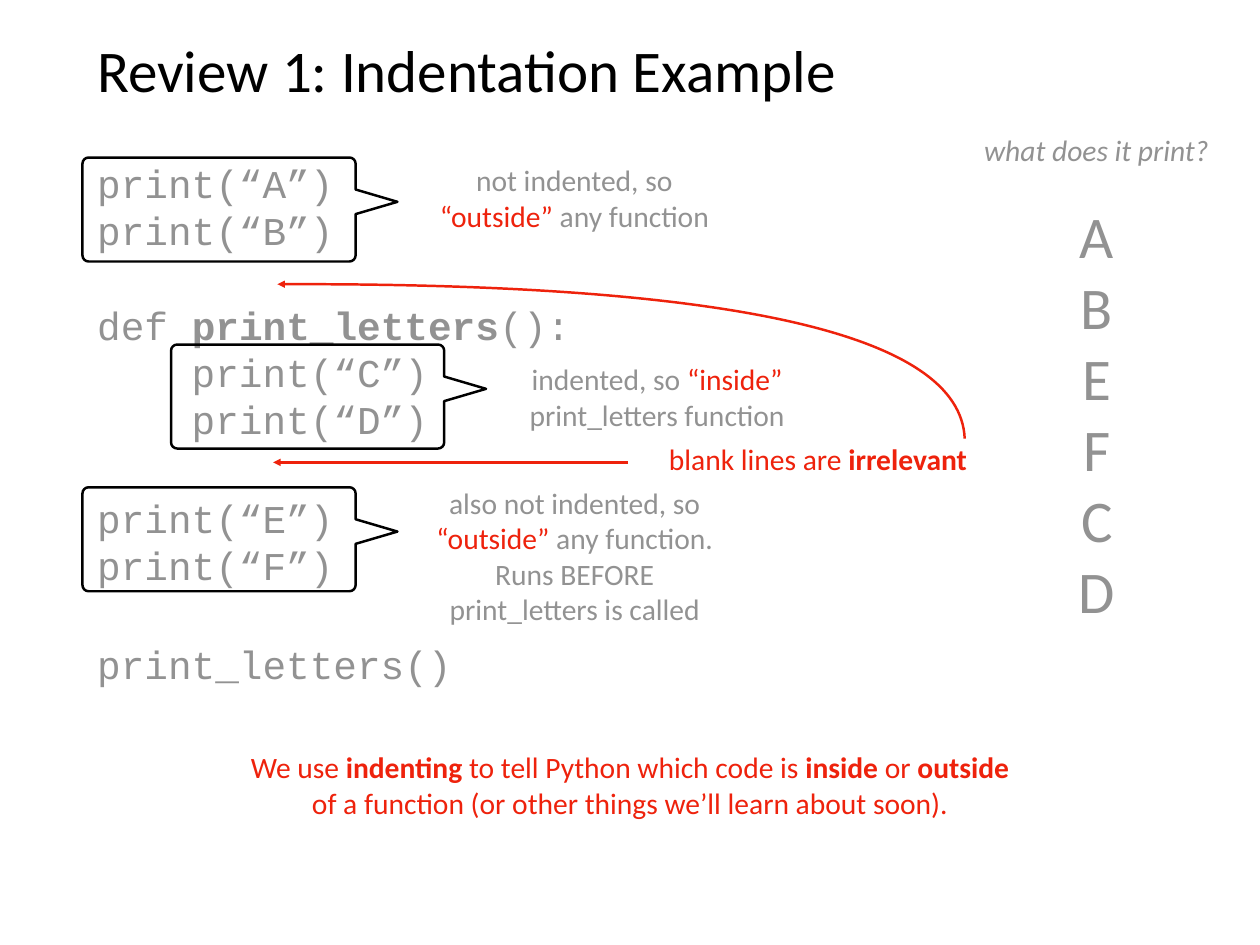
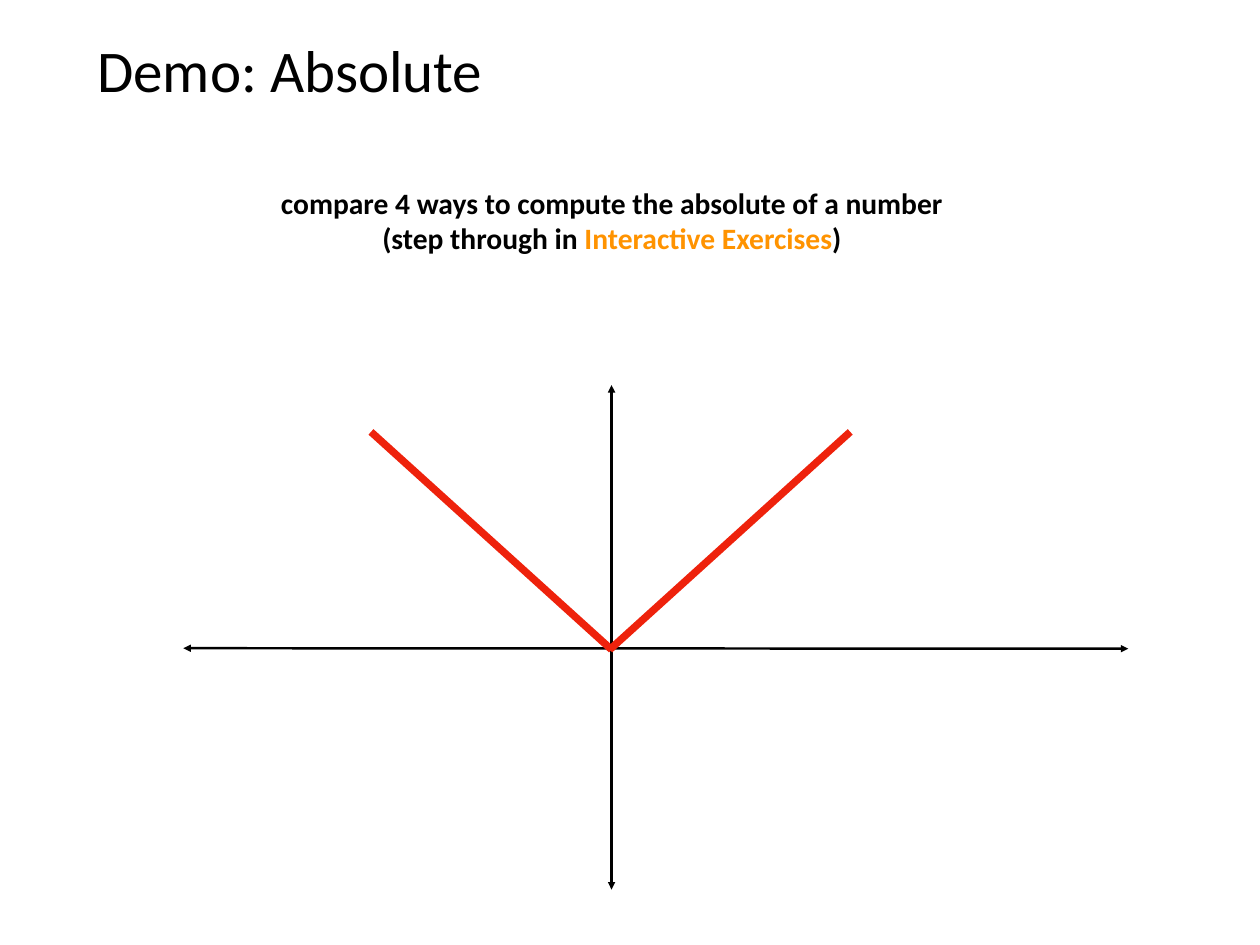
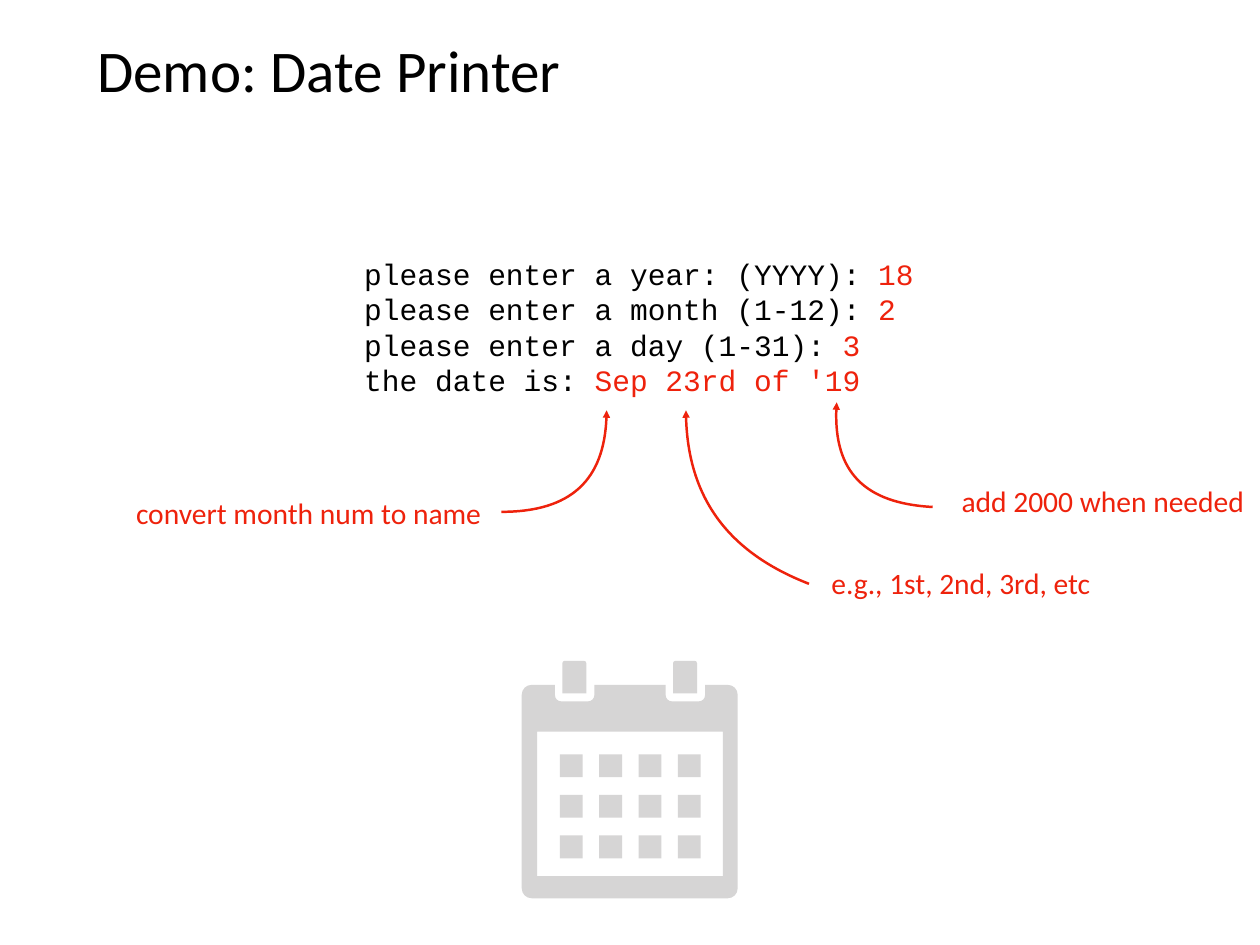
from dataclasses import dataclass, field
from itertools import product
from math import dist
from typing import NamedTuple

from lxml.etree import Element as Node, SubElement as Sub
from pptx import Presentation
from pptx.dml.color import RGBColor as Rgb
from pptx.enum.shapes import MSO_CONNECTOR as Link
from pptx.enum.text import MSO_ANCHOR as Anchor, PP_ALIGN as Align
from pptx.oxml.ns import qn
from pptx.slide import Slide
from pptx.util import Pt

BLACK = Rgb(0x00, 0x00, 0x00)
GRAY = Rgb(0x92, 0x92, 0x92)
PALE = Rgb(0xD6, 0xD5, 0xD5)
RED = Rgb(0xEE, 0x22, 0x0C)
GOLD = Rgb(0xFF, 0x93, 0x00)

SANS = "Calibri"
MONO = "Courier New"
INSET = 4
LEADING = 1.2
ROUND = 0.55

Point = tuple[float, float]
Step = list[Point]


class Run(NamedTuple):
    text: str
    color: Rgb | None = None
    bold: bool | None = None


class Line(NamedTuple):
    runs: list[Run]
    gap: float = 0
    indent: float = 0


class Box(NamedTuple):
    x: float
    y: float
    w: float
    h: float


class Corner(NamedTuple):
    x: float
    y: float
    r: float = 0


class Ring(NamedTuple):
    start: Point
    steps: list[Step]
    close: bool = True


@dataclass
class Note:
    box: Box
    lines: list[Line]
    color: Rgb = GRAY
    size: float = 24
    face: str = SANS
    bold: bool = False
    slant: bool = False
    align: Align = Align.CENTER
    anchor: Anchor = Anchor.MIDDLE
    wrap: bool = False


@dataclass
class Stroke:
    color: Rgb = RED
    width: float = 2
    ends: list[str] = field(default_factory=list)


def apply(target: object, values: dict) -> None:
    for name, value in values.items():
        setattr(target, name, value)


def plain(*texts: str) -> list[Line]:
    return [Line([Run(text)]) for text in texts]


def write(slide: Slide, note: Note) -> None:
    frame = slide.shapes.add_textbox(*map(Pt, note.box)).text_frame
    apply(frame, {
        "word_wrap": note.wrap,
        "vertical_anchor": note.anchor,
        "margin_left": Pt(INSET),
        "margin_right": Pt(INSET),
        "margin_top": Pt(INSET),
        "margin_bottom": Pt(INSET),
    })
    for index, line in enumerate(note.lines):
        para = frame.add_paragraph() if index else frame.paragraphs[0]
        apply(para, {
            "alignment": note.align,
            "line_spacing": Pt(LEADING * note.size),
            "space_before": Pt(line.gap),
        })
        if line.indent:
            para._p.get_or_add_pPr().set("marL", str(Pt(line.indent)))
        for part in line.runs:
            run = para.add_run()
            run.text = part.text
            apply(run.font, {
                "name": note.face,
                "size": Pt(note.size),
                "bold": note.bold if part.bold is None else part.bold,
                "italic": note.slant,
            })
            run.font.color.rgb = part.color or note.color


def ink(shape, stroke: Stroke) -> None:
    shape.line.color.rgb = stroke.color
    shape.line.width = Pt(stroke.width)
    outline = shape.element.spPr.find(qn("a:ln"))
    for end in stroke.ends:
        Sub(outline, qn(f"a:{end}"), type="triangle")


def link(slide: Slide, start: Point, end: Point, stroke: Stroke) -> None:
    line = slide.shapes.add_connector(
        Link.STRAIGHT, *map(Pt, start), *map(Pt, end))
    ink(line, stroke)
    Sub(line.element.spPr, qn("a:effectLst"))


def trace(slide: Slide, rings: list[Ring], stroke: Stroke | None = None,
          fill: Rgb | None = None) -> None:
    pen = slide.shapes.build_freeform(*map(Pt, rings[0].start))
    for index, ring in enumerate(rings):
        if index:
            pen.move_to(*map(Pt, ring.start))
        ends = [tuple(map(Pt, step[-1])) for step in ring.steps]
        pen.add_line_segments(ends, close=ring.close)
    shape = pen.convert_to_shape()
    shape.shadow.inherit = False
    steps = [step for ring in rings for step in ring.steps]
    for old, step in zip(list(shape.element.iter(qn("a:lnTo"))), steps):
        if len(step) == 3:
            curve = Node(qn("a:cubicBezTo"))
            for x, y in step:
                Sub(curve, qn("a:pt"), x=str(Pt(x) - shape.left),
                    y=str(Pt(y) - shape.top))
            old.getparent().replace(old, curve)
    if fill is None:
        shape.fill.background()
    else:
        shape.fill.solid()
        shape.fill.fore_color.rgb = fill
    if stroke is None:
        shape.line.fill.background()
    else:
        ink(shape, stroke)


def bend(slide: Slide, start: Point, *knots: Point) -> None:
    trace(slide, [Ring(start, [list(knots)], False)],
          Stroke(ends=["tailEnd"]))


def toward(start: Point, end: Point, length: float) -> Point:
    part = length / dist(start, end)
    return (start[0] + part * (end[0] - start[0]),
            start[1] + part * (end[1] - start[1]))


def outline(corners: list[Corner]) -> Ring:
    steps: list[Step] = []
    for index, corner in enumerate(corners):
        spot = corner[:2]
        back = corners[index - 1][:2]
        ahead = corners[(index + 1) % len(corners)][:2]
        if corner.r:
            rest = corner.r * (1 - ROUND)
            steps.append([toward(spot, back, corner.r)])
            steps.append([toward(spot, back, rest), toward(spot, ahead, rest),
                          toward(spot, ahead, corner.r)])
        else:
            steps.append([spot])
    return Ring(steps[0][0], steps[1:])


def frame(box: Box) -> Ring:
    x, y, w, h = box
    return outline([Corner(x, y), Corner(x + w, y), Corner(x + w, y + h),
                    Corner(x, y + h)])


def bubble(slide: Slide, x: float, y: float) -> None:
    w, h, r, tip, mid, half = 222, 84.5, 5, 256, 36, 10
    ring = outline([
        Corner(x, y, r),
        Corner(x + w, y, r),
        Corner(x + w, y + mid - half),
        Corner(x + tip, y + mid),
        Corner(x + w, y + mid + half),
        Corner(x + w, y + h, r),
        Corner(x, y + h, r),
    ])
    trace(slide, [ring], Stroke(BLACK))


def title(slide: Slide, text: str) -> None:
    write(slide, Note(Box(75, 20, 874, 71.5), plain(text), BLACK, 48,
                      align=Align.LEFT, wrap=True))


def review(slide: Slide) -> None:
    title(slide, "Review 1: Indentation Example")
    inner = 76.8
    code = [
        *plain("print(“A”)", "print(“B”)"),
        Line([Run("def "), Run("print_letters", bold=True), Run("():")],
             gap=38.4),
        Line([Run("print(“C”)")], indent=inner),
        Line([Run("print(“D”)")], indent=inner),
        Line([Run("print(“E”)")], gap=42),
        *plain("print(“F”)"),
        Line([Run("print_letters()")], gap=42),
    ]
    write(slide, Note(Box(75, 125.3, 874, 574), code, size=32, face=MONO,
                      align=Align.LEFT, anchor=Anchor.TOP, wrap=True))
    for x, y in [(67, 128), (139, 280), (67, 396)]:
        bubble(slide, x, y)
    notes = [
        Note(Box(788.5, 103.5, 205, 37), plain("what does it print?"),
             slant=True),
        Note(Box(411.5, 289.5, 245, 65.5), [
            Line([Run("indented, so "), Run("“inside”", RED)]),
            *plain("print_letters function")]),
        Note(Box(339, 128, 255.5, 65.5), [
            *plain("not indented, so"),
            Line([Run("“outside”", RED), Run(" any function")])]),
        Note(Box(336, 390, 262, 123), [
            *plain("also not indented, so"),
            Line([Run("“outside”", RED), Run(" any function.")]),
            *plain("Runs BEFORE", "print_letters is called")]),
        Note(Box(146.5, 605, 731, 65.5), [
            Line([Run("We use "), Run("indenting", bold=True),
                  Run(" to tell Python which code is "),
                  Run("inside", bold=True), Run(" or "),
                  Run("outside", bold=True)]),
            *plain("of a function (or other things we’ll learn about soon).")],
            RED),
        Note(Box(516, 354.5, 297.5, 37), [
            Line([Run("blank lines are "), Run("irrelevant", bold=True)])],
            RED),
        Note(Box(870, 158.5, 43, 353.5), plain(*"ABEFCD"), size=48),
    ]
    for note in notes:
        write(slide, note)
    link(slide, (510.5, 375.8), (222, 375.8), Stroke(ends=["tailEnd"]))
    bend(slide, (784, 356.5), (780.5, 271.5), (594, 229.5), (225.5, 231))


def graph(slide: Slide) -> None:
    title(slide, "Demo: Absolute")
    write(slide, Note(Box(170, 146, 654.5, 65.5), [
        *plain("compare 4 ways to compute the absolute of a number"),
        Line([Run("(step through in "), Run("Interactive Exercises", GOLD),
              Run(")")])], BLACK, bold=True))
    axis = Stroke(BLACK, ends=["headEnd", "tailEnd"])
    thick = Stroke(width=6)
    for start, end, stroke in [
        ((497, 723), (497, 313), axis),
        ((917, 527.2), (149, 526.8), axis),
        ((301.5, 351), (497, 528), thick),
        ((691, 351), (495.5, 528), thick),
    ]:
        link(slide, start, end, stroke)


def month(slide: Slide) -> None:
    left, top, right, base = 424, 556.6, 599.5, 730
    tabs = (457, 547)
    notch = []
    for x in reversed(tabs):
        notch += [Corner(x + 26, top), Corner(x + 26, 570, 5),
                  Corner(x - 6, 570, 5), Corner(x - 6, top)]
    body = outline([
        Corner(left, top, 8), Corner(left, base, 8),
        Corner(right, base, 8), Corner(right, top, 8), *notch])
    lugs = [outline([Corner(x, 537, 2), Corner(x + 19.5, 537, 2),
                     Corner(x + 19.5, 563.5), Corner(x, 563.5)])
            for x in tabs]
    days = [frame(Box(455 + 32 * col, 613 + 33 * row, 18.5, 18.5))
            for row, col in product(range(3), range(4))]
    panel = frame(Box(436.5, 594.5, 151, 117.5))
    trace(slide, [*lugs, body, panel, *days], fill=PALE)


def dates(slide: Slide) -> None:
    title(slide, "Demo: Date Printer")
    log = [
        ("please enter a year: (YYYY): ", "18"),
        ("please enter a month (1-12): ", "2"),
        ("please enter a day (1-31): ", "3"),
        ("the date is: ", "Sep 23rd of '19"),
    ]
    write(slide, Note(Box(292, 204, 454.5, 123),
                      [Line([Run(ask), Run(reply, RED)]) for ask, reply in log],
                      BLACK, face=MONO, align=Align.LEFT, anchor=Anchor.TOP))
    for x, y, w, text in [
        (656.5, 455, 249, "e.g., 1st, 2nd, 3rd, etc"),
        (84, 398, 333.5, "convert month num to name"),
        (760.5, 388, 271.5, "add 2000 when needed"),
    ]:
        write(slide, Note(Box(x, y, w, 37), plain(text), RED))
    for knots in [
        [(758, 412), (702, 409), (676, 381), (680, 327)],
        [(407.5, 416), (464.5, 416), (493, 388), (493, 333.5)],
        [(657.5, 474.5), (590.5, 448.5), (557.5, 401), (557.5, 333.5)],
    ]:
        bend(slide, *knots)
    month(slide)


def main() -> None:
    deck = Presentation()
    apply(deck, {"slide_width": Pt(1024), "slide_height": Pt(768)})
    for draw in (review, graph, dates):
        draw(deck.slides.add_slide(deck.slide_layouts[6]))
    deck.save("out.pptx")


if __name__ == "__main__":
    main()
